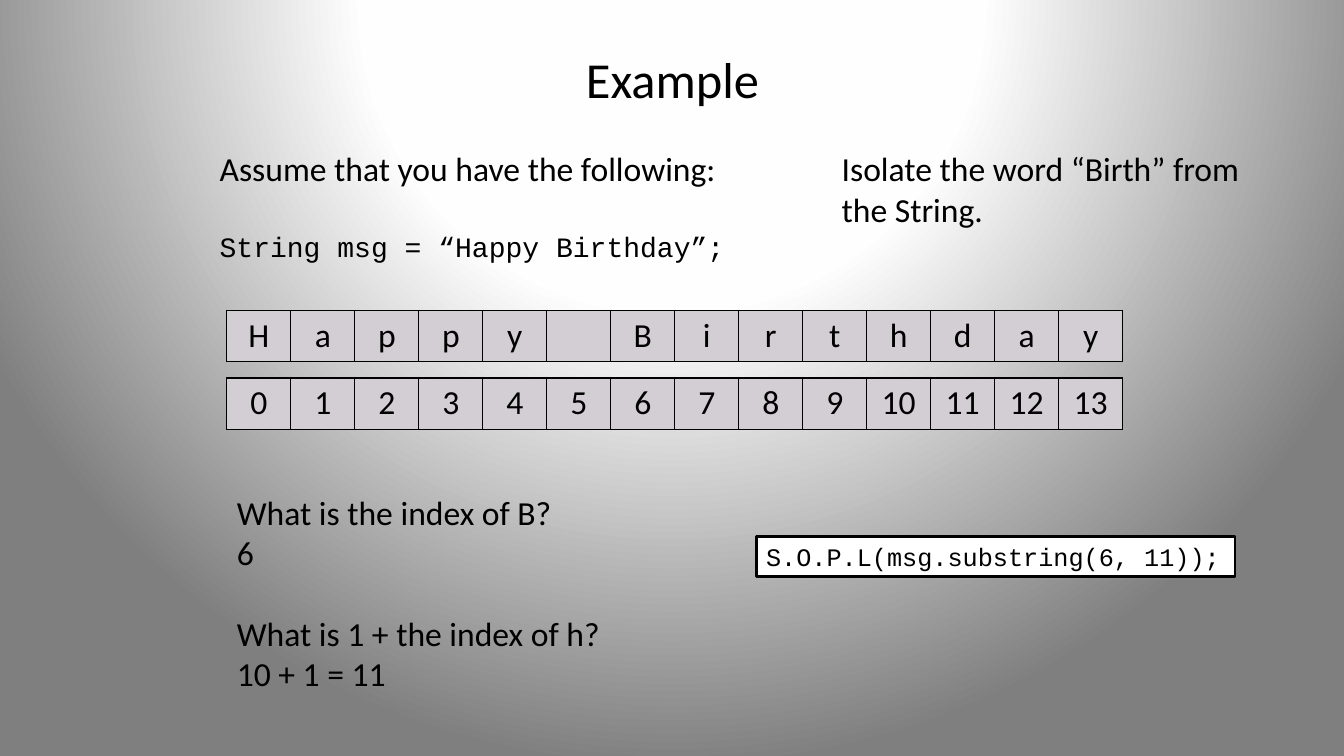
import lxml.etree
import pptx
import pptx.dml.color
import pptx.enum.shapes
import pptx.enum.text
import pptx.oxml
import pptx.oxml.ns
import pptx.util

Inches = pptx.util.Inches
Pt = pptx.util.Pt
BLACK = pptx.dml.color.RGBColor(0x00, 0x00, 0x00)
WHITE = pptx.dml.color.RGBColor(0xFF, 0xFF, 0xFF)
MAUVE = pptx.dml.color.RGBColor(0xD3, 0xCE, 0xD3)
SANS, MONO = "Calibri", "Courier New"
CENTER = pptx.enum.text.PP_ALIGN.CENTER
LEFT = pptx.enum.text.PP_ALIGN.LEFT
MIDDLE = pptx.enum.text.MSO_ANCHOR.MIDDLE
NS = pptx.oxml.ns.nsdecls("a")


def add_run(p, text, size, font):
    r = p.add_run()
    r.text = text
    r.font.size = Pt(size)
    r.font.name = font
    r.font.color.rgb = BLACK


prs = pptx.Presentation()
prs.slide_width = Inches(13.33)
prs.slide_height = Inches(7.5)
s = prs.slides.add_slide(prs.slide_layouts[6])

s.background.fill.solid()
bg = s.element.xpath(".//p:bgPr")[0]
stops = "".join(
    f'<a:gs pos="{pos * 1000}"><a:srgbClr val="{color}"/></a:gs>'
    for pos, color in [(0, "FFFFFF"), (40, "FEFEFE"), (100, "7F7F7F")]
)
bg.replace(bg[0], pptx.oxml.parse_xml(
    f'<a:gradFill {NS} rotWithShape="1"><a:gsLst>{stops}</a:gsLst><a:path path="circle">'
    '<a:fillToRect l="50000" t="-80000" r="50000" b="180000"/></a:path></a:gradFill>'
))

sp = s.shapes.add_textbox(Inches(0.67), Inches(0.3), Inches(12), Inches(0.95))
tf = sp.text_frame
tf.word_wrap = True
tf.vertical_anchor = MIDDLE
tf.paragraphs[0].alignment = CENTER
add_run(tf.paragraphs[0], "Example", 36, SANS)

message = "Happy Birthday"
for top, labels in [(3.08, message), (3.75, range(len(message)))]:
    table = s.shapes.add_table(
        1, len(message), Inches(2.25), Inches(top), Inches(8.89), Inches(0.51)
    ).table
    table.first_row = False
    table.horz_banding = False
    for i, label in enumerate(labels):
        cell = table.cell(0, i)
        cell.fill.solid()
        cell.fill.fore_color.rgb = MAUVE
        p = cell.text_frame.paragraphs[0]
        p.alignment = CENTER
        p.font.size = Pt(24)
        if label != " ":
            add_run(p, str(label), 24, SANS)
        tcPr = cell.fill._xPr
        for n, side in enumerate(["lnL", "lnR", "lnT", "lnB"]):
            tcPr.insert(n, pptx.oxml.parse_xml(
                f'<a:{side} {NS} w="12700"><a:solidFill><a:srgbClr val="{BLACK}"/>'
                f'</a:solidFill></a:{side}>'
            ))

notes = [
    (2.08, 1.42, 5.25, 1.25, [
        ("Assume that you have the following:", 24, SANS, 0),
        ("String msg = “Happy Birthday”;", 20, MONO, 29),
    ]),
    (8.25, 1.42, 4.2, 0.91, [
        ("Isolate the word “Birth” from\nthe String.", 24, SANS, 0),
    ]),
    (2.25, 4.83, 3.85, 2.12, [
        ("What is the index of B?", 24, SANS, 0),
        ("6", 24, SANS, 0),
        ("What is 1 + the index of h?", 24, SANS, 29),
        ("10 + 1 = 11", 24, SANS, 0),
    ]),
]
for left, top, width, height, lines in notes:
    sp = s.shapes.add_textbox(Inches(left), Inches(top), Inches(width), Inches(height))
    tf = sp.text_frame
    tf.word_wrap = False
    for i, (text, size, font, before) in enumerate(lines):
        p = tf.add_paragraph() if i else tf.paragraphs[0]
        p.space_before = Pt(before)
        for n, part in enumerate(text.split("\n")):
            if n:
                p.add_line_break()
            add_run(p, part, size, font)

sp = s.shapes.add_shape(
    pptx.enum.shapes.MSO_SHAPE.RECTANGLE, Inches(7.5), Inches(5.32), Inches(4.75), Inches(0.4)
)
sp.shadow.inherit = False
sp.fill.solid()
sp.fill.fore_color.rgb = WHITE
sp.line.color.rgb = BLACK
sp.line.width = Pt(2)
tf = sp.text_frame
tf.word_wrap = False
tf.paragraphs[0].alignment = LEFT
add_run(tf.paragraphs[0], "S.O.P.L(msg.substring(6, 11));", 18, MONO)

prs.save("out.pptx")
